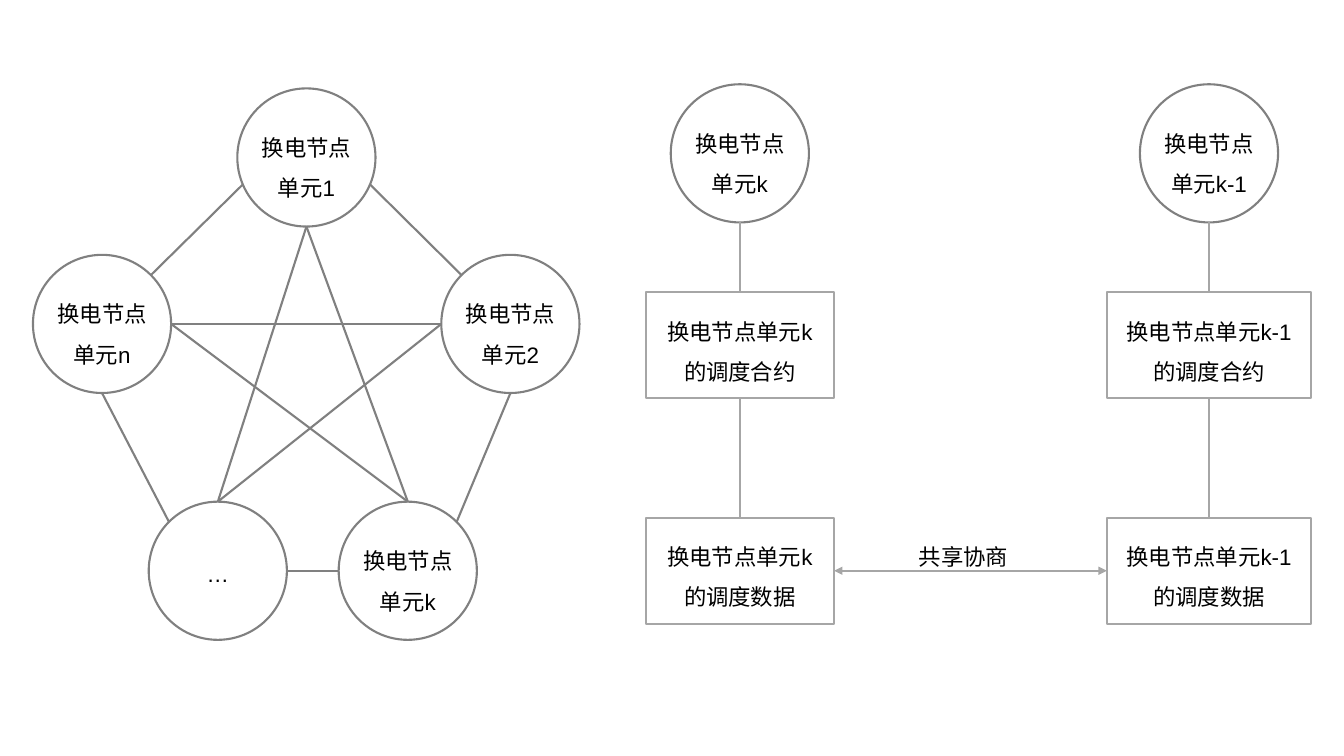
from dataclasses import dataclass
from math import cos, radians, sin

from lxml import etree
from pptx import Presentation
from pptx.dml.color import RGBColor
from pptx.enum import shapes, text
from pptx.oxml import ns
from pptx.util import Pt


@dataclass(frozen=True)
class Theme:
    """Colours, type sizes and shared lengths in points."""
    ink: RGBColor = RGBColor(0x00, 0x00, 0x00)
    node_line: RGBColor = RGBColor(0x80, 0x80, 0x80)
    chain_line: RGBColor = RGBColor(0xA6, 0xA6, 0xA6)
    font: str = "Arial"
    size: float = 16
    spacing: float = 1.5
    stroke: float = 1.5
    diameter: float = 98.7
    box_height: float = 75.8


THEME = Theme()
UNIT = "换电节点"
NODES = {
    "1": (195.4, 49.4, [UNIT, "单元1"]),
    "n": (49.4, 168.3, [UNIT, "单元n"]),
    "2": (341.1, 168.3, [UNIT, "单元2"]),
    "k": (267.8, 344.6, [UNIT, "单元k"]),
    "…": (132.1, 344.6, ["…"]),
}
EDGES = [
    ("1", 157, "n", -45), ("2", -135, "1", 23), ("2", 90, "k", -45),
    ("n", 90, "…", -135), ("k", 180, "…", 0), ("1", 90, "…", -90),
    ("1", 90, "k", -90), ("2", 180, "n", 0), ("2", 180, "…", -90),
    ("n", 0, "k", -90),
]


def apply(target, values):
    """Set every attribute named in a dict of format values."""
    for name, value in values.items():
        setattr(target, name, value)


def add_label(page, center_x, center_y, width, height, lines, wrap):
    """Add centred lines of text around a point."""
    box = page.shapes.add_textbox(Pt(center_x - width / 2), Pt(center_y - height / 2),
                                  Pt(width), Pt(height))
    apply(box.text_frame, {"word_wrap": wrap,
                           "auto_size": text.MSO_AUTO_SIZE.SHAPE_TO_FIT_TEXT})
    for index, line in enumerate(lines):
        para = box.text_frame.add_paragraph() if index else box.text_frame.paragraphs[0]
        apply(para, {"alignment": text.PP_ALIGN.CENTER, "line_spacing": THEME.spacing})
        span = para.add_run()
        span.text = line
        apply(span.font, {"name": THEME.font, "size": Pt(THEME.size)})
        span.font.color.rgb = THEME.ink


def add_outline(page, kind, center_x, center_y, width, height, color):
    """Add an unfilled preset shape around a point."""
    shape = page.shapes.add_shape(kind, Pt(center_x - width / 2), Pt(center_y - height / 2),
                                  Pt(width), Pt(height))
    shape.shadow.inherit = False
    shape.fill.background()
    shape.line.color.rgb = color
    shape.line.width = Pt(THEME.stroke)
    return shape


def add_line(page, start, end, color):
    """Add a straight connector between two points."""
    line = page.shapes.add_connector(shapes.MSO_CONNECTOR.STRAIGHT,
                                     *(Pt(value) for value in (*start, *end)))
    line.line.color.rgb = color
    line.line.width = Pt(THEME.stroke)
    etree.SubElement(line.element.spPr, ns.qn("a:effectLst"))
    return line


def add_node(page, center_x, center_y, lines):
    """Add a labelled circular node."""
    add_outline(page, shapes.MSO_SHAPE.OVAL, center_x, center_y,
                THEME.diameter, THEME.diameter, THEME.node_line)
    width, height, shift = (79, 61.8, 1.1) if len(lines) > 1 else (31, 32.4, -4.3)
    add_label(page, center_x, center_y + shift, width, height, lines, False)


def add_network(page, left, top):
    """Draw the ring of nodes and its links."""
    def rim(name, degrees):
        """Return the point on a node's rim at an angle."""
        x, y, _ = NODES[name]
        radius, angle = THEME.diameter / 2, radians(degrees)
        return left + x + radius * cos(angle), top + y + radius * sin(angle)

    for x, y, lines in NODES.values():
        add_node(page, left + x, top + y, lines)
    for first, first_angle, second, second_angle in EDGES:
        add_line(page, rim(first, first_angle), rim(second, second_angle), THEME.node_line)


def add_chain(page, left, top, width, name):
    """Draw a node above its contract and data boxes, and return the data box."""
    center = left + width / 2
    add_node(page, center, top + THEME.diameter / 2, [UNIT, f"单元{name}"])
    previous = None
    for offset, caption in ((186.5, "的调度合约"), (347.5, "的调度数据")):
        add_label(page, center, top + offset - 1.8, width - 3, 61.8,
                  [f"{UNIT}单元{name}", caption], True)
        box = add_outline(page, shapes.MSO_SHAPE.RECTANGLE, center, top + offset,
                          width, THEME.box_height, THEME.chain_line)
        line = add_line(page, (center, top + THEME.diameter),
                        (center, top + offset - THEME.box_height / 2), THEME.chain_line)
        if previous is not None:
            line.begin_connect(previous, 2)
        line.end_connect(box, 0)
        previous = box
    return previous


def add_sharing(page, left_box, right_box):
    """Join two data boxes with a captioned double arrow."""
    start = (left_box.left + left_box.width).pt if hasattr(left_box.left + left_box.width, "pt") \
        else (left_box.left + left_box.width) / Pt(1)
    end = right_box.left / Pt(1)
    middle = (left_box.top + left_box.height / 2) / Pt(1)
    add_label(page, (start + end) / 2 - 5, middle - 16.5, 130, 32.4, ["共享协商"], True)
    arrow = add_line(page, (start, middle), (end, middle), THEME.chain_line)
    arrow.begin_connect(left_box, 3)
    arrow.end_connect(right_box, 1)
    for tag in ("a:headEnd", "a:tailEnd"):
        etree.SubElement(arrow.line._get_or_add_ln(), ns.qn(tag), type="triangle")


def main():
    """Build and save the deck."""
    deck = Presentation()
    apply(deck, {"slide_width": Pt(960), "slide_height": Pt(540)})
    page = deck.slides.add_slide(deck.slide_layouts[6])
    add_network(page, 23.5, 63.1)
    left_data = add_chain(page, 461.2, 60.2, 134.6, "k")
    right_data = add_chain(page, 790.6, 60.2, 146, "k-1")
    add_sharing(page, left_data, right_data)
    deck.save("out.pptx")


if __name__ == "__main__":
    main()
